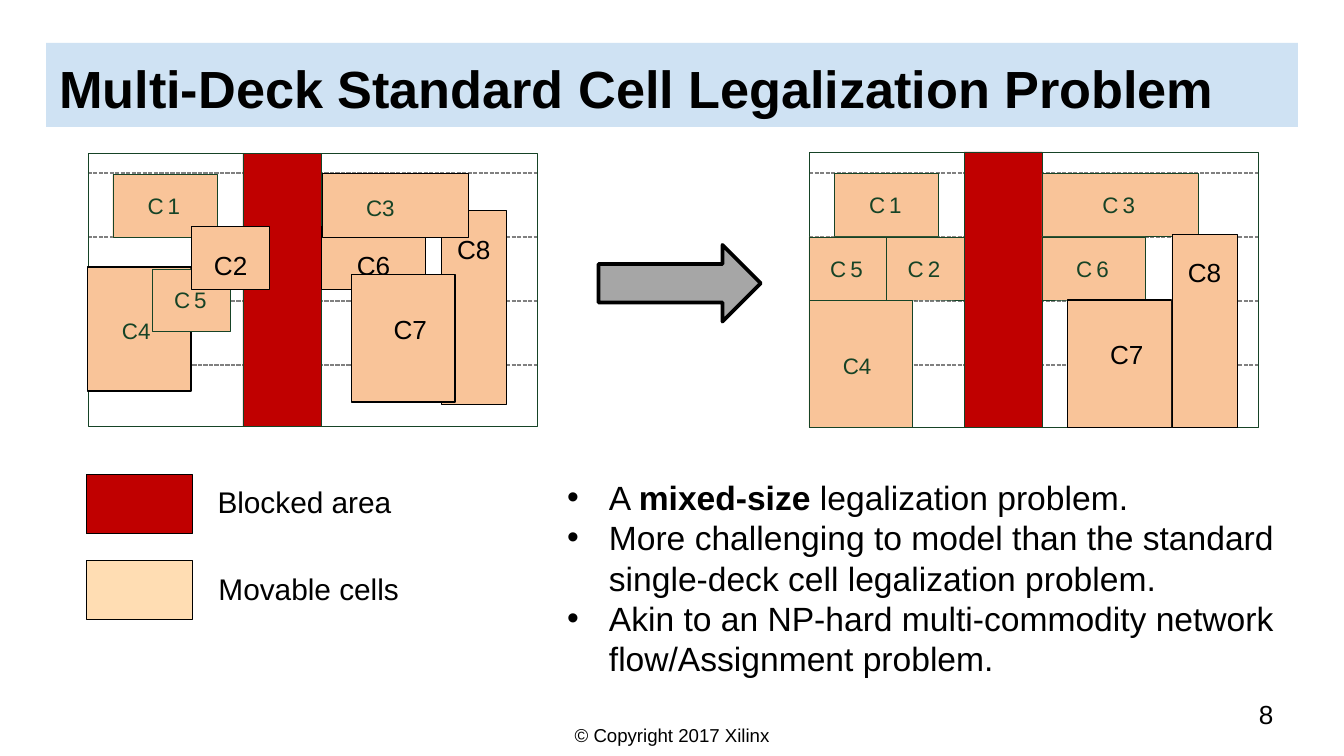
from lxml import etree
from pptx import Presentation
from pptx.dml.color import RGBColor as Rgb
from pptx.enum.dml import MSO_LINE as Dash
from pptx.enum.shapes import MSO_CONNECTOR as Conn, MSO_SHAPE as Kind
from pptx.enum.text import MSO_ANCHOR as Anchor, MSO_AUTO_SIZE as Fit, PP_ALIGN as Align
from pptx.oxml.ns import qn
from pptx.util import Cm, Pt

BLACK = Rgb(0x00, 0x00, 0x00)
GREEN = Rgb(0x16, 0x43, 0x26)
RED = Rgb(0xC0, 0x00, 0x00)
PEACH = Rgb(0xF9, 0xC4, 0x99)
SAND = Rgb(0xFF, 0xDD, 0xB3)
SKY = Rgb(0xCF, 0xE2, 0xF3)
GRAY = Rgb(0xA6, 0xA6, 0xA6)
DIM = Rgb(0x80, 0x80, 0x80)
FONT = "Arial"
HAIR = 0.13

# Cells from back to front: label, look, left, top, width, height
BEFORE = [
    ("C 1", "split", 2.13, 3.3, 1.98, 1.19),
    ("C4", "edged", 1.65, 5.05, 1.96, 2.34),
    ("C 5", "split", 2.88, 5.08, 1.48, 1.19),
    ("C2", "black", 3.62, 4.29, 1.48, 1.19),
    ("C8", "black", 8.34, 3.98, 1.23, 3.66),
    ("C6", "black", 6.08, 4.29, 1.96, 1.19),
    ("C7", "inset", 6.64, 5.19, 1.96, 2.41),
    ("C3", "shift", 6.09, 3.28, 2.77, 1.21),
]
AFTER = [
    ("C 1", "split", 15.77, 3.28, 1.97, 1.19),
    ("C 2", "split", 16.75, 4.48, 1.47, 1.19),
    ("C 3", "split", 19.69, 3.28, 2.95, 1.19),
    ("C4", "green", 15.29, 5.67, 1.95, 2.41),
    ("C 5", "split", 15.29, 4.48, 1.46, 1.19),
    ("C 6", "split", 19.69, 4.48, 1.96, 1.19),
    ("C7", "inset", 20.18, 5.67, 1.96, 2.41),
    ("C8", "black", 22.15, 4.43, 1.23, 3.65),
]

# Look: text colour, size, line colour, line width, anchor, align, spacing,
# left, top and right inset
LOOKS = {
    "split": (GREEN, 12, GREEN, HAIR, Anchor.TOP, Align.LEFT, 1, 0, 0, 0),
    "green": (GREEN, 12, GREEN, HAIR, Anchor.MIDDLE, Align.CENTER, 1, 0, 0.07, 0.13),
    "edged": (GREEN, 12, BLACK, 0.75, Anchor.MIDDLE, Align.CENTER, 1, 0, 0.07, 0.11),
    "shift": (GREEN, 12, BLACK, 0.75, Anchor.MIDDLE, Align.CENTER, 1, 0, 0.07, 0.57),
    "black": (BLACK, 14, BLACK, 0.5, Anchor.TOP, Align.CENTER, 1.5, 0.25, 0.13, 0.25),
    "inset": (BLACK, 14, BLACK, 0.75, Anchor.TOP, Align.LEFT, 1, 0.8, 0.73, 0),
}

POINTS = [
    [("A ", False), ("mixed-size", True), (" legalization problem.", False)],
    [("More challenging to model than the standard "
      "single-deck cell legalization problem.", False)],
    [("Akin to an NP-hard multi-commodity network "
      "flow/Assignment problem.", False)],
]


def style(run, size, color=BLACK, bold=False):
    font = run.font
    font.name, font.size, font.bold = FONT, Pt(size), bold
    font.color.rgb = color


def inset(frame, left, top, right):
    frame.margin_left, frame.margin_right = Cm(left), Cm(right)
    frame.margin_top, frame.margin_bottom = Cm(top), Cm(0)


def add_box(slide, area, fill=None, edge=BLACK, width=0.5, kind=Kind.RECTANGLE):
    shape = slide.shapes.add_shape(kind, *map(Cm, area))
    shape.shadow.inherit = False
    if fill is None:
        shape.fill.background()
    else:
        shape.fill.solid()
        shape.fill.fore_color.rgb = fill
    shape.line.color.rgb = edge
    shape.line.width = Pt(width)
    return shape


def add_text(slide, area, text, size, align=Align.LEFT, color=BLACK):
    frame = slide.shapes.add_textbox(*map(Cm, area)).text_frame
    frame.word_wrap = True
    frame.text = text
    para = frame.paragraphs[0]
    para.alignment = align
    style(para.runs[0], size, color)
    return frame


def add_marks(slide, label, left, top, width, height):
    # Letter and digit stand apart around the middle of the cell
    mid, upper = left + width / 2, top + height / 2 - 0.26
    for text, shift in zip(label.split(), (-0.33, 0.05)):
        frame = add_text(slide, (mid + shift, upper, 0.5, 0.56), text, 12, color=GREEN)
        frame.word_wrap = False
        inset(frame, 0, 0, 0)


def add_cell(slide, label, look, *area):
    color, size, edge, width, anchor, align, space, left, top, right = LOOKS[look]
    frame = add_box(slide, area, PEACH, edge, width).text_frame
    if look == "split":
        add_marks(slide, label, *area)
        return
    frame.vertical_anchor = anchor
    inset(frame, left, top, right)
    frame.text = label
    para = frame.paragraphs[0]
    para.alignment, para.line_spacing = align, space
    style(para.runs[0], size, color)


def add_row(slide, left, right, top):
    line = slide.shapes.add_connector(Conn.STRAIGHT, *map(Cm, (left, top, right, top)))
    line.line.color.rgb = DIM
    line.line.width = Pt(0.75)
    line.line.dash_style = Dash.SQUARE_DOT
    etree.SubElement(line._element.spPr, qn("a:effectLst"))


def add_plan(slide, left, top, height, cells):
    wide = 8.49
    for row in range(4):
        add_row(slide, left, left + wide, 3.27 + 1.21 * row)
    add_box(slide, (left, top, wide, height), None, GREEN, HAIR)
    add_box(slide, (left + 2.93, top, 1.48, height), RED, GREEN, HAIR)
    for cell in cells:
        add_cell(slide, *cell)


def add_key(slide, top, fill, text, left, drop):
    add_box(slide, (1.63, top, 2.01, 1.12), fill)
    add_text(slide, (left, top + drop, 4.55, 0.94), text, 16, Align.CENTER)


def add_list(slide, area, points):
    frame = slide.shapes.add_textbox(*map(Cm, area)).text_frame
    frame.word_wrap = True
    for index, parts in enumerate(points):
        para = frame.add_paragraph() if index else frame.paragraphs[0]
        props = para._p.get_or_add_pPr()
        props.set("marL", str(Cm(0.79)))
        props.set("indent", str(-Cm(0.79)))
        etree.SubElement(props, qn("a:buFont"), typeface=FONT)
        etree.SubElement(props, qn("a:buChar"), char="•")
        for text, bold in parts:
            run = para.add_run()
            run.text = text
            style(run, 18, bold=bold)


def set_title(slide, text):
    title = slide.shapes.title
    title.left, title.top, title.width, title.height = map(Cm, (0.87, 0.81, 23.66, 1.59))
    title.fill.solid()
    title.fill.fore_color.rgb = SKY
    frame = title.text_frame
    frame.auto_size, frame.vertical_anchor = Fit.NONE, Anchor.TOP
    inset(frame, 0.25, 0.25, 0.25)
    frame.text = text
    para = frame.paragraphs[0]
    para.alignment = Align.LEFT
    style(para.runs[0], 28, bold=True)


def main():
    deck = Presentation()
    deck.slide_width, deck.slide_height = Cm(25.4), Cm(14.29)
    slide = deck.slides.add_slide(deck.slide_layouts[5])
    set_title(slide, "Multi-Deck Standard Cell Legalization Problem")

    # Placement before and after
    add_plan(slide, 1.66, 2.9, 5.16, BEFORE)
    add_box(slide, (11.31, 4.63, 3.07, 1.45), GRAY, BLACK, 2, Kind.RIGHT_ARROW)
    add_plan(slide, 15.29, 2.87, 5.21, AFTER)

    # Legend and remarks
    add_key(slide, 8.97, RED, "Blocked area", 3.48, 0.05)
    add_key(slide, 10.59, SAND, "Movable cells", 3.56, 0.08)
    add_list(slide, (10.47, 8.89, 14.12, 4.11), POINTS)

    # Footer
    add_text(slide, (0, 13.56, 25.4, 0.7), "© Copyright 2017 Xilinx", 10, Align.CENTER)
    number = add_text(slide, (23.54, 12.95, 1.52, 1.09), "8", 14)
    number.vertical_anchor = Anchor.MIDDLE
    deck.save("out.pptx")


if __name__ == "__main__":
    main()
